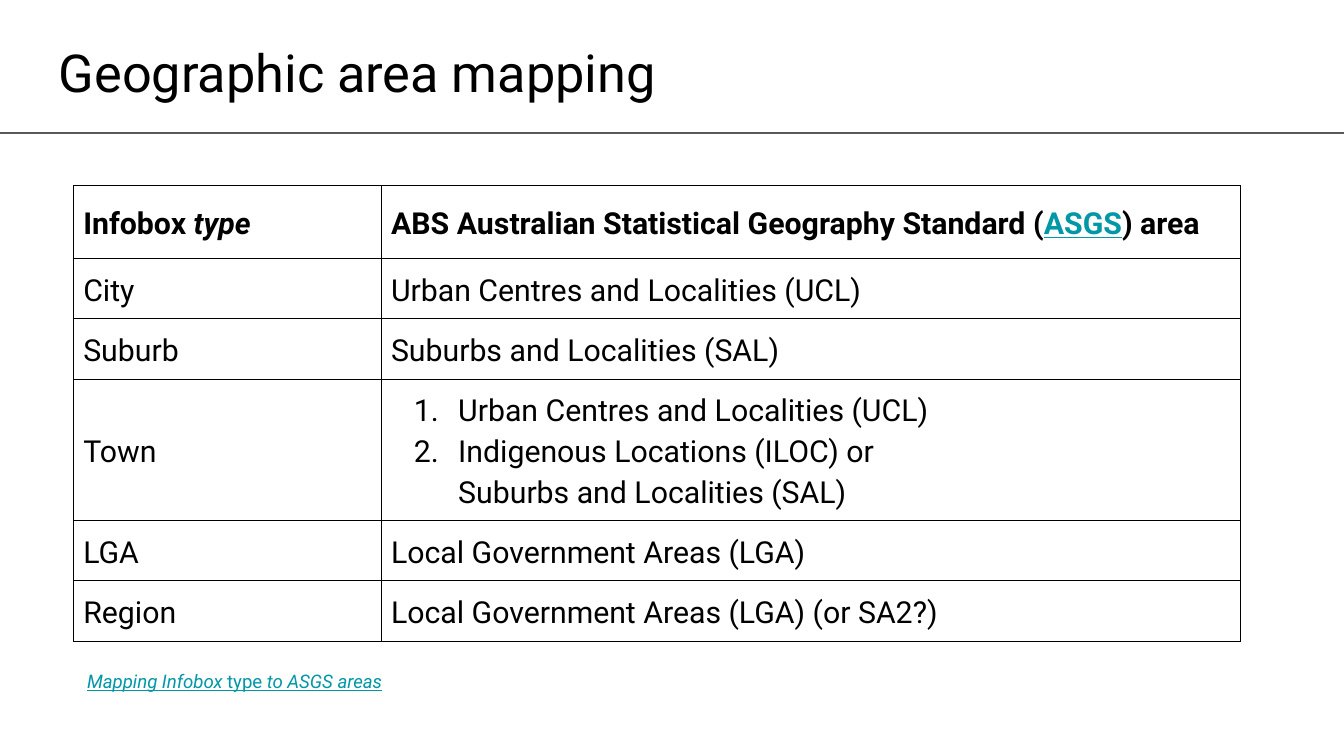
from dataclasses import dataclass

from lxml import etree
from pptx import Presentation
from pptx import util as u
from pptx.dml.color import RGBColor
from pptx.enum import shapes, text
from pptx.oxml import ns


@dataclass(frozen=True)
class Theme:
    font: str = "Roboto"
    ink: RGBColor = RGBColor(0x00, 0x00, 0x00)
    link: RGBColor = RGBColor(0x00, 0x97, 0xA7)
    rule: RGBColor = RGBColor(0x59, 0x59, 0x59)
    title_size: float = 28
    table_size: float = 16.2
    caption_size: float = 10
    line_spacing: float = 1.15


THEME = Theme()
SLIDE_WIDTH = 10
SLIDE_HEIGHT = SLIDE_WIDTH * 9 / 16
COLUMN_WIDTHS = [2.29, 6.39]
ROW_HEIGHTS = [0.54, 0.45, 0.45, 0.94, 0.45, 0.45]

# Each run is its text and its styles: b bold, i italic, u linked look
HEADINGS = [
    [("Infobox ", "b"), ("type", "bi")],
    [("ABS Australian Statistical Geography Standard (", "b"),
     ("ASGS", "bu"), (") area", "b")],
]
CAPTION = [("Mapping Infobox ", "iu"), ("type", "u"), (" to ASGS areas", "iu")]
AREAS = [
    ("City", "Urban Centres and Localities (UCL)"),
    ("Suburb", "Suburbs and Localities (SAL)"),
    ("Town", "Urban Centres and Localities (UCL)\n"
             "Indigenous Locations (ILOC) or\n"
             "Suburbs and Localities (SAL)"),
    ("LGA", "Local Government Areas (LGA)"),
    ("Region", "Local Government Areas (LGA) (or SA2?)"),
]


def style_run(run, size, styles=""):
    font = run.font
    font.name = THEME.font
    font.size = u.Pt(size)
    font.bold = "b" in styles
    font.italic = "i" in styles
    font.underline = "u" in styles
    font.color.rgb = THEME.link if "u" in styles else THEME.ink


def write_runs(paragraph, runs, size):
    paragraph.line_spacing = THEME.line_spacing
    for words, styles in runs:
        run = paragraph.add_run()
        run.text = words
        style_run(run, size, styles)


def add_text_area(slide, left, top, width, height):
    frame = slide.shapes.add_textbox(
        u.Inches(left), u.Inches(top), u.Inches(width), u.Inches(height)
    ).text_frame
    frame.word_wrap = True
    frame.vertical_anchor = text.MSO_ANCHOR.MIDDLE
    frame.margin_left = frame.margin_right = u.Inches(0.1)
    frame.margin_top = frame.margin_bottom = u.Inches(0.1)
    return frame


def add_rule(slide, top, width):
    rule = slide.shapes.add_connector(
        shapes.MSO_CONNECTOR.STRAIGHT,
        u.Inches(0), u.Inches(top), u.Inches(width), u.Inches(top))
    rule.line.color.rgb = THEME.rule
    rule.line.width = u.Pt(0.75)
    etree.SubElement(rule._element.spPr, ns.qn("a:effectLst"))


def format_cell(cell):
    cell.vertical_anchor = text.MSO_ANCHOR.MIDDLE
    cell.margin_left = cell.margin_right = u.Inches(0.07)
    cell.margin_top = cell.margin_bottom = u.Inches(0.06)
    # Borders come before the fill in the cell properties
    properties = cell._tc.get_or_add_tcPr()
    for side in ("lnL", "lnR", "lnT", "lnB"):
        border = etree.SubElement(properties, ns.qn("a:" + side), w=str(u.Pt(0.5)))
        fill = etree.SubElement(border, ns.qn("a:solidFill"))
        etree.SubElement(fill, ns.qn("a:srgbClr"), val=str(THEME.ink))
    cell.fill.background()


def indent_item(paragraph, numbered):
    properties = paragraph._p.get_or_add_pPr()
    properties.set("marL", str(u.Inches(0.5)))
    properties.set("indent", str(u.Inches(-0.33 if numbered else 0)))
    if numbered:
        color = etree.SubElement(properties, ns.qn("a:buClr"))
        etree.SubElement(color, ns.qn("a:srgbClr"), val=str(THEME.ink))
        etree.SubElement(properties, ns.qn("a:buFont"), typeface=THEME.font)
        etree.SubElement(properties, ns.qn("a:buAutoNum"), type="arabicPeriod")


def write_area(cell, words):
    cell.text_frame.text = words
    lines = cell.text_frame.paragraphs
    for index, line in enumerate(lines):
        line.line_spacing = THEME.line_spacing
        style_run(line.runs[0], THEME.table_size)
        # The last line of a list continues the item above it
        if len(lines) > 1:
            indent_item(line, numbered=index < len(lines) - 1)


def add_area_table(slide, left, top):
    table = slide.shapes.add_table(
        len(ROW_HEIGHTS), len(COLUMN_WIDTHS), u.Inches(left), u.Inches(top),
        u.Inches(sum(COLUMN_WIDTHS)), u.Inches(sum(ROW_HEIGHTS))).table
    table.first_row = table.horz_banding = False
    for column, width in zip(table.columns, COLUMN_WIDTHS):
        column.width = u.Inches(width)
    for row, height in zip(table.rows, ROW_HEIGHTS):
        row.height = u.Inches(height)
    for cell in table.iter_cells():
        format_cell(cell)
    for cell, runs in zip(table.rows[0].cells, HEADINGS):
        write_runs(cell.text_frame.paragraphs[0], runs, THEME.table_size)
    for row_index, area in enumerate(AREAS, start=1):
        for column_index, words in enumerate(area):
            write_area(table.cell(row_index, column_index), words)


def main():
    deck = Presentation()
    deck.slide_width = u.Inches(SLIDE_WIDTH)
    deck.slide_height = u.Inches(SLIDE_HEIGHT)
    slide = deck.slides.add_slide(deck.slide_layouts[6])

    # Title and the rule below it
    title = add_text_area(slide, 0.34, 0, 9.32, 1.07)
    title.text = "Geographic area mapping"
    style_run(title.paragraphs[0].runs[0], THEME.title_size)
    add_rule(slide, 0.99, SLIDE_WIDTH)

    # Caption under the table
    caption = add_text_area(slide, 0.55, 4.83, 2.71, 0.45).paragraphs[0]
    caption.space_after = u.Pt(10)
    write_runs(caption, CAPTION, THEME.caption_size)

    # Infobox types and their matching areas
    add_area_table(slide, 0.55, 1.38)

    deck.save("out.pptx")


if __name__ == "__main__":
    main()
